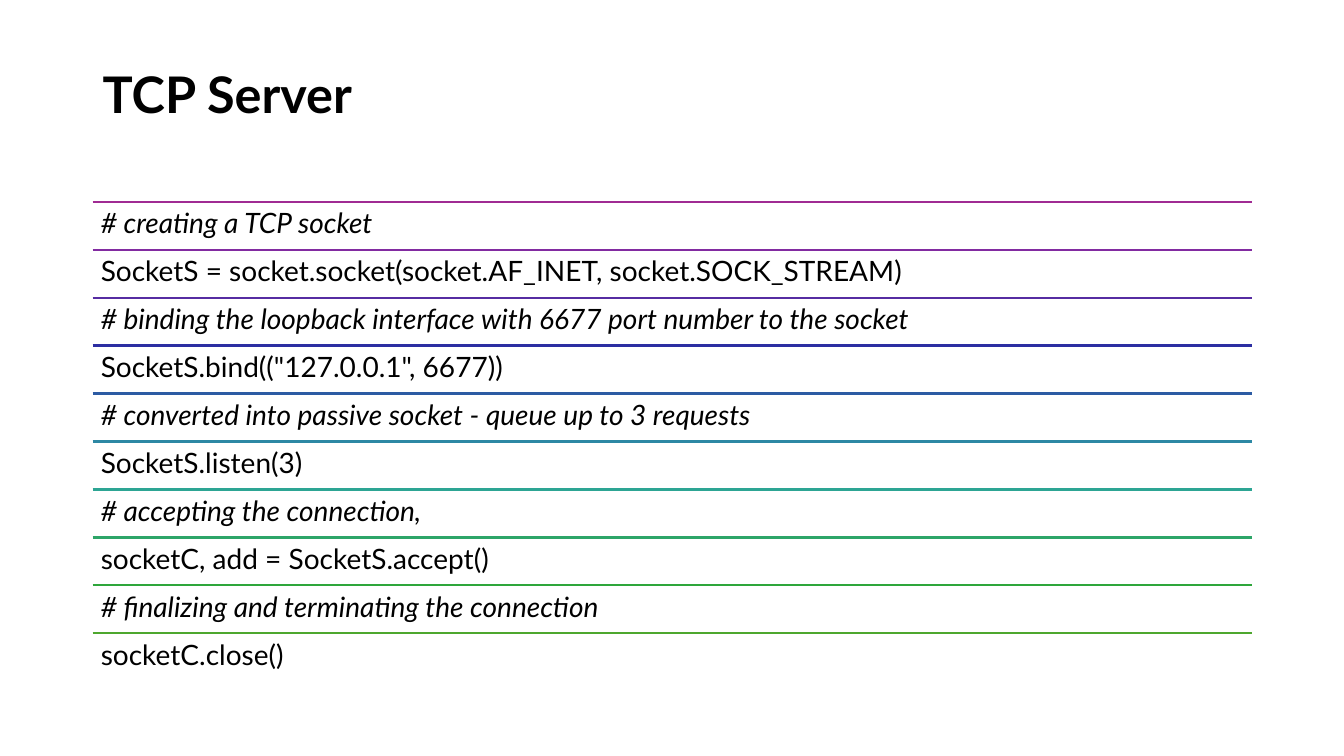
from lxml.etree import SubElement
from pptx import Presentation
from pptx.dml.color import RGBColor
from pptx.enum.shapes import MSO_CONNECTOR
from pptx.enum.text import MSO_ANCHOR
from pptx.oxml.ns import qn
from pptx.util import Inches, Pt

TITLE_BOX = (0.92, 0.61, 11.5, 1.24)
CODE_BOX = (0.92, 2, 11.5, 4.76)
TITLE_FORMAT = {"size": Pt(36), "bold": True}
COMMENT_FORMAT = {"size": Pt(20), "italic": True}
STATEMENT_FORMAT = {"size": Pt(20), "italic": False}

CODE_ROWS = [
    ("# creating a TCP socket", "A02B93"),
    ("SocketS = socket.socket(socket.AF_INET, socket.SOCK_STREAM)", "822BA1"),
    ("# binding the loopback interface with 6677 port number to the socket", "562CA2"),
    ('SocketS.bind(("127.0.0.1", 6677))', "2C2EA2"),
    ("# converted into passive socket - queue up to 3 requests", "2C5BA3"),
    ("SocketS.listen(3)", "2D88A4"),
    ("# accepting the connection,", "2DA594"),
    ("socketC, add = SocketS.accept()", "2DA568"),
    ("# finalizing and terminating the connection", "2EA63B"),
    ("socketC.close()", "4EA72E"),
]


def paint(color_format, hex_color):
    color_format.rgb = RGBColor.from_string(hex_color)


def add_text(slide, box, text, font_format, side_inset):
    frame = slide.shapes.add_textbox(*map(Inches, box)).text_frame
    frame_format = {
        "word_wrap": True,
        "vertical_anchor": MSO_ANCHOR.TOP,
        "margin_left": Inches(side_inset),
        "margin_right": Inches(side_inset),
        "margin_top": Inches(0.08),
        "margin_bottom": Inches(0.08),
    }
    for key, value in frame_format.items():
        setattr(frame, key, value)
    paragraph = frame.paragraphs[0]
    paragraph.line_spacing = 0.9
    run = paragraph.add_run()
    run.text = text
    for key, value in {"name": "Lato", **font_format}.items():
        setattr(run.font, key, value)
    paint(run.font.color, "000000")


def add_rule(slide, left, top, width, hex_color):
    ends = map(Inches, (left, top, left + width, top))
    rule = slide.shapes.add_connector(MSO_CONNECTOR.STRAIGHT, *ends)
    rule.line.width = Pt(1.5)
    paint(rule.line.color, hex_color)
    SubElement(rule._element.spPr, qn("a:effectLst"))


def add_title(slide, box):
    add_text(slide, box, "TCP Server", TITLE_FORMAT, 0.1)


def add_code_list(slide, box, rows):
    left, top, width, height = box
    row_height = height / len(rows)
    for index, (code, rule_color) in enumerate(rows):
        row_top = top + index * row_height
        add_rule(slide, left, row_top, width, rule_color)
        font_format = COMMENT_FORMAT if code.startswith("#") else STATEMENT_FORMAT
        add_text(slide, (left, row_top, width, row_height), code, font_format, 0.08)


def main():
    deck = Presentation()
    deck.slide_width, deck.slide_height = Inches(13.33), Inches(7.5)
    slide = deck.slides.add_slide(deck.slide_layouts[6])
    add_title(slide, TITLE_BOX)
    add_code_list(slide, CODE_BOX, CODE_ROWS)
    deck.save("out.pptx")


if __name__ == "__main__":
    main()
